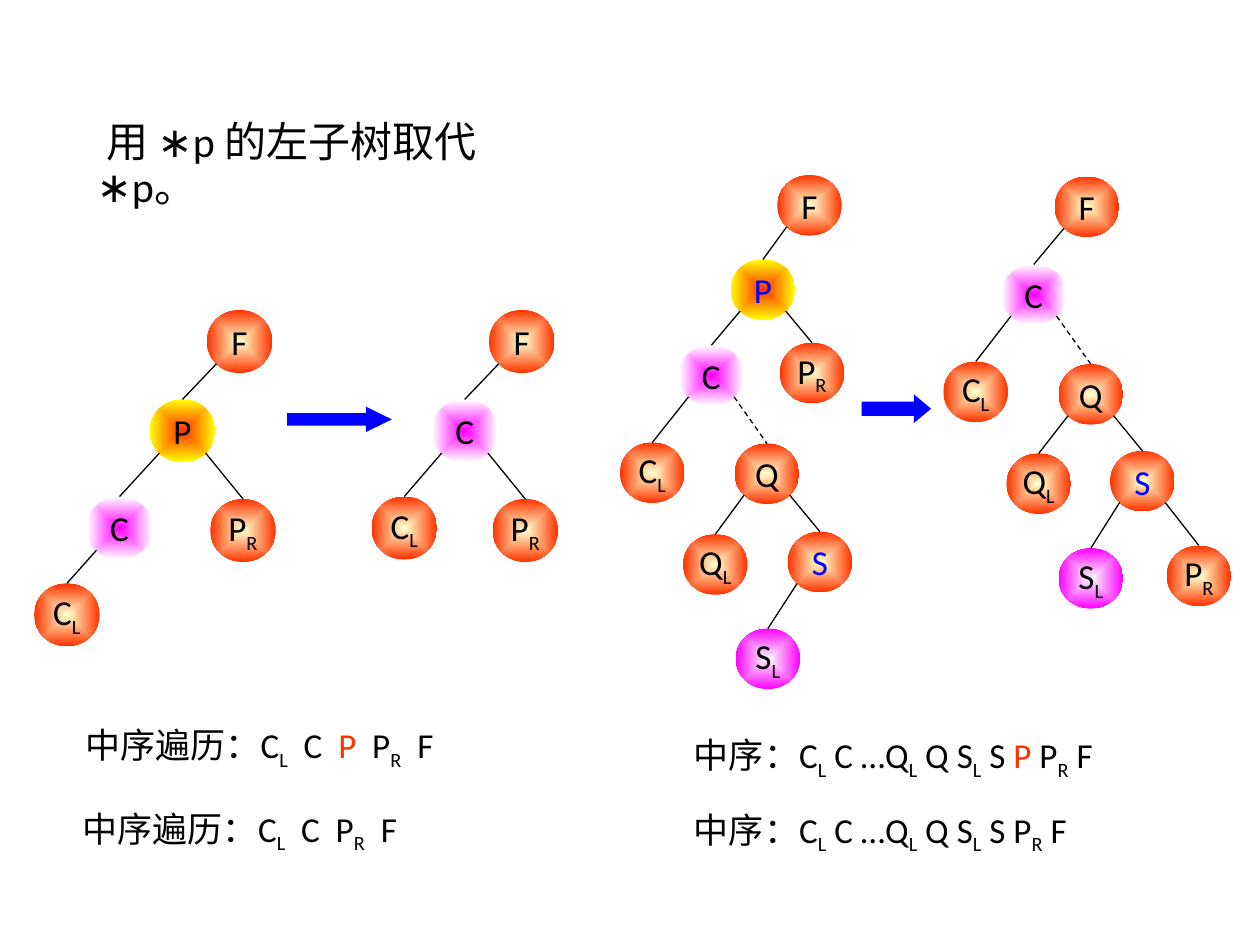
import math
import pptx
import pptx.dml.color
import pptx.enum.dml
import pptx.enum.shapes
import pptx.enum.text
import pptx.oxml
import pptx.oxml.ns
import pptx.util
from lxml import etree

Cm, Pt = pptx.util.Cm, pptx.util.Pt
SHAPE = pptx.enum.shapes.MSO_SHAPE
ANCHOR = pptx.enum.text.MSO_ANCHOR


def rgb(hex_color):
    return pptx.dml.color.RGBColor.from_string(hex_color)


def add_runs(paragraph, pieces, size=20, color="000000", accent=None):
    """A lone L or R is a subscript; a lone P takes the accent colour."""
    for piece in pieces:
        run = paragraph.add_run()
        run.text = piece
        run.font.name = "Calibri"
        run.font.size = Pt(size)
        run.font.color.rgb = rgb(accent if accent and piece == "P" else color)
        if piece in ("L", "R"):
            run.font._element.set("baseline", "-25000")


presentation = pptx.Presentation()
presentation.slide_width, presentation.slide_height = Cm(25.4), Cm(19.05)
slide = presentation.slides.add_slide(presentation.slide_layouts[6])

# Heading and in-order sequences: left, top, width, height, size, anchor, pieces
texts = [
    (1.7, 2.31, 10.06, 1.17, 24, ANCHOR.TOP, [" 用 ∗p 的左子树取代 ∗p。"]),
    (1.47, 14.53, 8.59, 1.09, 20, ANCHOR.MIDDLE,
     ["中序遍历：C", "L", "  C  ", "P", "  P", "R", "  F"]),
    (1.42, 16.21, 7.8, 1.09, 20, ANCHOR.MIDDLE,
     ["中序遍历：C", "L", "  C  P", "R", "  F"]),
    (13.74, 14.73, 10.36, 1.09, 20, ANCHOR.MIDDLE,
     ["中序：C", "L", " C …Q", "L", " Q S", "L", " S ", "P", " P", "R", " F"]),
    (13.74, 16.23, 9.75, 1.09, 20, ANCHOR.MIDDLE,
     ["中序：C", "L", " C …Q", "L", " Q S", "L", " S P", "R", " F"]),
]
for left, top, width, height, size, anchor, pieces in texts:
    frame = slide.shapes.add_textbox(Cm(left), Cm(top), Cm(width), Cm(height)).text_frame
    frame.word_wrap = True
    frame.auto_size = pptx.enum.text.MSO_AUTO_SIZE.SHAPE_TO_FIT_TEXT
    frame.vertical_anchor = anchor
    if size == 24:
        frame.paragraphs[0].line_spacing = 0.9
    add_runs(frame.paragraphs[0], pieces, size, accent="FF3300")

# Arrows between the trees before and after deletion
for left, top, width, height, head in [(5.79, 8.2, 2.11, 0.51, 1.02),
                                       (17.37, 7.95, 1.4, 0.58, 0.6)]:
    step = slide.shapes.add_shape(SHAPE.RIGHT_ARROW, Cm(left), Cm(top), Cm(width), Cm(height))
    step.adjustments[1] = head
    step.shadow.inherit = False
    step.fill.solid()
    step.fill.fore_color.rgb = rgb("0000FF")
    step.line.fill.background()

# Trees: node width, node height, blue letters, {node: (left, top, parent)}
trees = [
    (1.32, 1.27, "", {
        "F": (4.17, 6.25, None), "P": (3.02, 8.05, "F"), "C": (1.75, 10.01, "P"),
        "PR": (4.24, 10.06, "P"), "CL": (0.69, 11.76, "C")}),
    (1.32, 1.27, "", {
        "F": (9.86, 6.25, None), "C": (8.71, 8.05, "F"),
        "PR": (9.93, 10.06, "C"), "CL": (7.49, 10.01, "C")}),
    (1.3, 1.22, "PS", {
        "F": (15.67, 3.53, None), "P": (14.73, 5.23, "F"), "C": (13.69, 6.96, "P"),
        "PR": (15.72, 6.91, "P"), "CL": (12.5, 8.92, "C"), "Q": (14.81, 8.94, "C"),
        "QL": (13.77, 10.77, "Q"), "S": (15.88, 10.72, "Q"), "SL": (14.83, 12.67, "S")}),
    (1.3, 1.22, "S", {
        "F": (21.26, 3.56, None), "C": (20.19, 5.33, "F"), "CL": (19.02, 7.29, "C"),
        "Q": (21.34, 7.34, "C"), "QL": (20.29, 9.14, "Q"), "S": (22.38, 9.09, "Q"),
        "SL": (21.34, 11.05, "S"), "PR": (23.52, 11, "S")}),
]
# Centre and rim colours of the nodes that stand out
glows = {"P": ("FF3300", "FFFF00"), "C": ("FF00FF", "FFFFFF"), "SL": ("F8F8F8", "FF00FF")}
diagonal = math.sqrt(0.5)

for width, height, blue, nodes in trees:
    tree = slide.shapes.add_group_shape().shapes
    circles = {}

    # Nodes
    for name, (left, top, parent) in nodes.items():
        circle = tree.add_shape(SHAPE.OVAL, Cm(left), Cm(top), Cm(width), Cm(height))
        circles[name] = circle
        circle.shadow.inherit = False
        circle.line.fill.background()
        center, rim = glows.get(name, ("FFFFCC", "FF3300"))
        glow = pptx.oxml.parse_xml(
            f'<a:gradFill {pptx.oxml.ns.nsdecls("a")} rotWithShape="1"><a:gsLst>'
            f'<a:gs pos="0"><a:srgbClr val="{center}"/></a:gs>'
            f'<a:gs pos="100000"><a:srgbClr val="{rim}"/></a:gs></a:gsLst>'
            '<a:path path="shape"><a:fillToRect l="50000" t="50000" r="50000" b="50000"/>'
            '</a:path></a:gradFill>')
        circle._element.spPr.find(pptx.oxml.ns.qn("a:prstGeom")).addnext(glow)
        frame = circle.text_frame
        frame.word_wrap = False
        frame.vertical_anchor = ANCHOR.MIDDLE
        frame.paragraphs[0].alignment = pptx.enum.text.PP_ALIGN.CENTER
        add_runs(frame.paragraphs[0], name, color="0000FF" if name in blue.split() + list(blue)
                 else "000000")

    # Edges run from the parent's lower diagonal to the top of the child
    for name, (left, top, parent) in nodes.items():
        if parent is None:
            continue
        parent_left, parent_top, _ = nodes[parent]
        side = 1 if left > parent_left else -1
        edge = tree.add_connector(
            pptx.enum.shapes.MSO_CONNECTOR.STRAIGHT,
            Cm(parent_left + width / 2 * (1 + side * diagonal)),
            Cm(parent_top + height / 2 * (1 + diagonal)),
            Cm(left + width / 2), Cm(top))
        edge.end_connect(circles[name], 0)
        edge.line.color.rgb = rgb("000000")
        edge.line.width = Pt(0.75)
        if (parent, name) == ("C", "Q"):
            edge.line.dash_style = pptx.enum.dml.MSO_LINE.DASH
        etree.SubElement(edge._element.spPr, pptx.oxml.ns.qn("a:effectLst"))

presentation.save("out.pptx")
